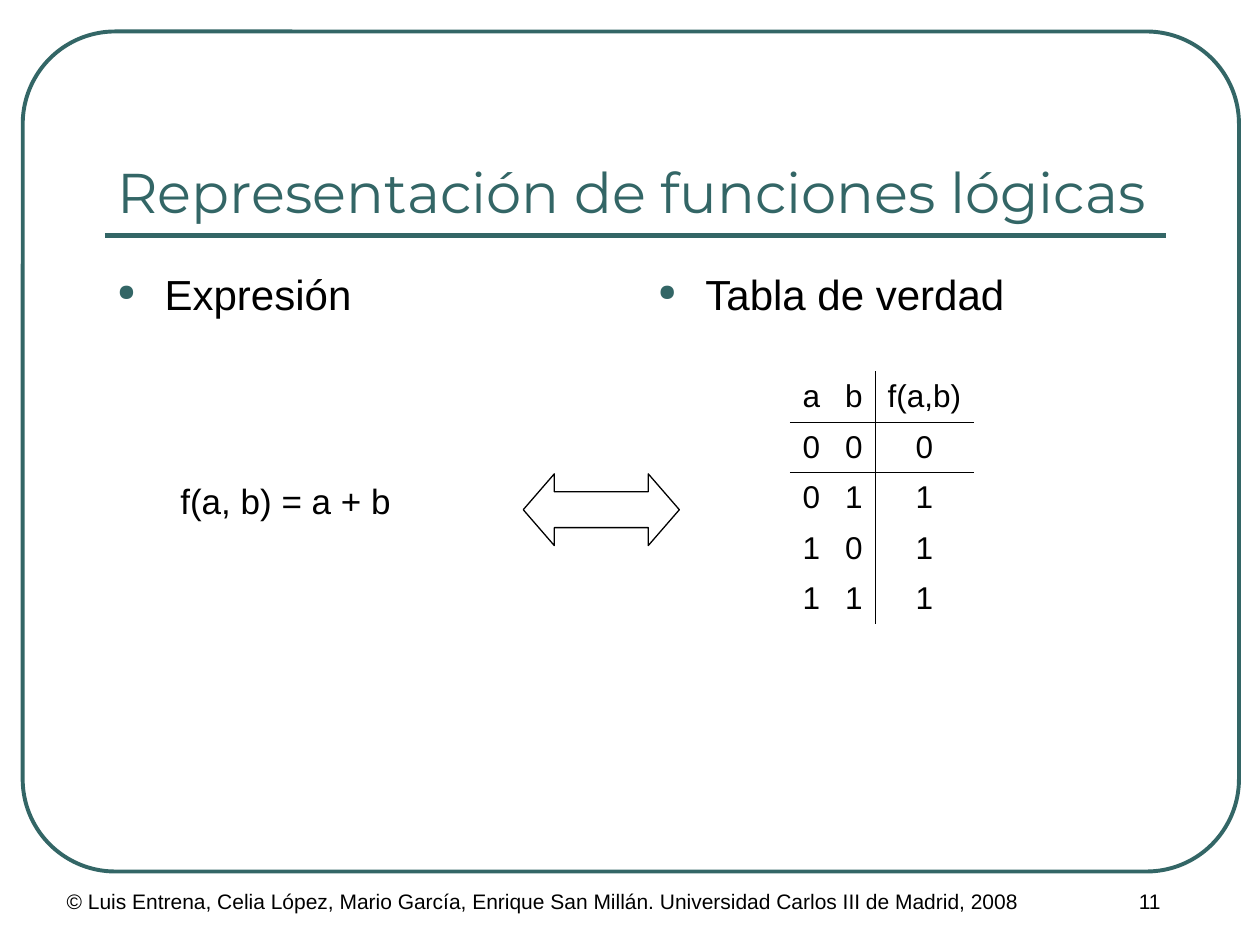
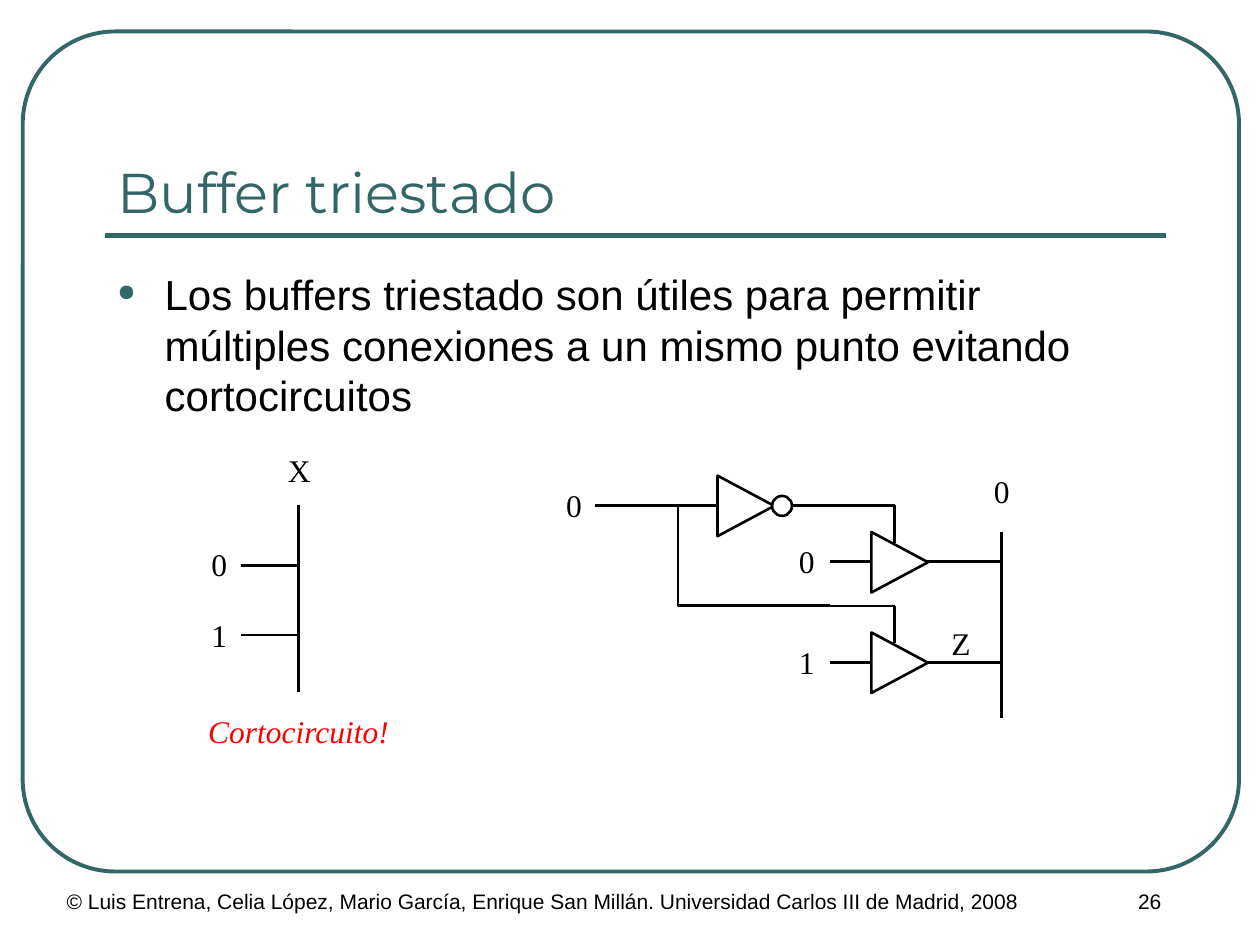
from lxml import etree
from pptx import Presentation
from pptx.dml.color import RGBColor
from pptx.enum.shapes import MSO_CONNECTOR, MSO_SHAPE
from pptx.enum.text import MSO_ANCHOR, PP_ALIGN
from pptx.oxml.ns import qn
from pptx.util import Pt

LEFT, CENTER = PP_ALIGN.LEFT, PP_ALIGN.CENTER
TOP, MIDDLE, BOTTOM = MSO_ANCHOR.TOP, MSO_ANCHOR.MIDDLE, MSO_ANCHOR.BOTTOM
STRAIGHT = MSO_CONNECTOR.STRAIGHT

TEAL, BLACK, WHITE, RED = "336666", "000000", "FFFFFF", "FF0000"
SANS, TITLE_FONT, SERIF = "Arial", "Montserrat", "Times New Roman"
WIRE = 1.5
PLAIN_TABLE = "{2D5ABB26-0587-4C30-8999-92F81FD0307C}"

CREDIT = ("© Luis Entrena, Celia López, Mario García, Enrique San Millán. "
          "Universidad Carlos III de Madrid, 2008")

FUNCTIONS = {
    "title": "Representación de funciones lógicas",
    "page": "11",
    "left": "Expresión",
    "formula": "f(a, b) = a + b",
    "right": "Tabla de verdad",
    "truth": [("a", "b", "f(a,b)"),
              ("0", "0", "0"),
              ("0", "1", "1"),
              ("1", "0", "1"),
              ("1", "1", "1")],
}

BUFFER = {
    "title": "Buffer triestado",
    "page": "26",
    "body": "Los buffers triestado son útiles para permitir múltiples conexiones "
            "a un mismo punto evitando cortocircuitos",
    "warning": "Cortocircuito!",
}

SIGNALS = [("X", 169.4, 268.6), ("0", 125.3, 322.4), ("1", 125.3, 362.9),
           ("0", 461, 320.4), ("1", 461, 378.2), ("0", 328, 288.7),
           ("Z", 548.6, 367.2), ("0", 572.4, 280.4)]

TRUTH_COLS, TRUTH_ROW = (24.4, 24.4, 56.2), 28.9
BODY_X, BODY_Y, BODY_W, BODY_H = 60, 150, 606, 348
COLUMN_W, COLUMN_X2 = 297, 369


def rgb(color):
    return RGBColor.from_string(color)


def set_font(p, size, font, color, italic=False):
    for r in p.runs:
        r.font.size = Pt(size)
        r.font.name = font
        r.font.italic = italic
        r.font.color.rgb = rgb(color)


def add_text(s, text, x, y, w, h, size, font=SANS, color=BLACK,
             align=LEFT, anchor=TOP, wrap=True, italic=False):
    tf = s.shapes.add_textbox(Pt(x), Pt(y), Pt(w), Pt(h)).text_frame
    tf.word_wrap = wrap
    tf.vertical_anchor = anchor
    tf.text = text
    p = tf.paragraphs[0]
    p.alignment = align
    set_font(p, size, font, color, italic)
    return tf


def indent(p, left, hanging):
    pPr = p._p.get_or_add_pPr()
    pPr.set("marL", str(Pt(left)))
    pPr.set("indent", str(Pt(-hanging)))
    return pPr


def add_bullet(s, text, x, w):
    tf = add_text(s, text, x, BODY_Y, w, BODY_H, 24)
    pPr = indent(tf.paragraphs[0], 27, 27)
    color = etree.SubElement(pPr, qn("a:buClr"))
    etree.SubElement(color, qn("a:srgbClr"), val=TEAL)
    etree.SubElement(pPr, qn("a:buSzPct"), val="55000")
    etree.SubElement(pPr, qn("a:buChar"), char="●")
    return tf


def style(sp, line, width, fill=None):
    sp.shadow.inherit = False
    if fill:
        sp.fill.solid()
        sp.fill.fore_color.rgb = rgb(fill)
    else:
        sp.fill.background()
    sp.line.color.rgb = rgb(line)
    sp.line.width = Pt(width)


def add_shape(s, kind, x, y, w, h, line, width, fill=None, adjust=()):
    sp = s.shapes.add_shape(kind, Pt(x), Pt(y), Pt(w), Pt(h))
    for i, value in enumerate(adjust):
        sp.adjustments[i] = value
    style(sp, line, width, fill)
    return sp


def add_line(s, x1, y1, x2, y2, color=BLACK, width=WIRE):
    line = s.shapes.add_connector(STRAIGHT, Pt(x1), Pt(y1), Pt(x2), Pt(y2))
    line.line.color.rgb = rgb(color)
    line.line.width = Pt(width)
    etree.SubElement(line._element.spPr, qn("a:effectLst"))


def new_slide(prs, content):
    s = prs.slides.add_slide(prs.slide_layouts[6])
    add_shape(s, MSO_SHAPE.ROUNDED_RECTANGLE, 13, 18, 695, 480, TEAL, 2.25, adjust=(0.11,))
    add_line(s, BODY_X, 134.6, BODY_X + BODY_W, 134.6, TEAL, 3)
    add_text(s, CREDIT, 31, 504, 612, 36, 12)
    add_text(s, content["page"], 594, 504, 126, 36, 12, align=CENTER)
    add_text(s, content["title"], BODY_X, 42, BODY_W, 90, 32, TITLE_FONT, TEAL, anchor=BOTTOM)
    return s


def set_borders(cell, sides):
    tcPr = cell._tc.get_or_add_tcPr()
    for i, side in enumerate(sides):
        ln = etree.Element(qn("a:ln" + side), w=str(Pt(0.45)))
        fill = etree.SubElement(ln, qn("a:solidFill"))
        etree.SubElement(fill, qn("a:srgbClr"), val=BLACK)
        tcPr.insert(i, ln)


def add_truth_table(s, rows, x, y):
    table = s.shapes.add_table(len(rows), len(TRUTH_COLS), Pt(x), Pt(y),
                               Pt(sum(TRUTH_COLS)), Pt(TRUTH_ROW * len(rows))).table
    table.first_row = table.horz_banding = False
    table._tbl.tblPr.find(qn("a:tableStyleId")).text = PLAIN_TABLE
    for col, width in zip(table.columns, TRUTH_COLS):
        col.width = Pt(width)
    for i, row in enumerate(rows):
        table.rows[i].height = Pt(TRUTH_ROW)
        for j, value in enumerate(row):
            cell = table.cell(i, j)
            cell.fill.background()
            cell.vertical_anchor = MIDDLE
            cell.margin_left = cell.margin_right = Pt(3)
            cell.text = value
            p = cell.text_frame.paragraphs[0]
            p.alignment = CENTER
            set_font(p, 18, SANS, BLACK)
            across = {1: "R", 2: "L"}.get(j, "")
            down = {0: "B", 1: "T"}.get(i, "")
            set_borders(cell, across + down)


def add_gate(s, cx, cy):
    w, h = 34.6, 32.4
    gate = add_shape(s, MSO_SHAPE.ISOSCELES_TRIANGLE, cx - w / 2, cy - h / 2, w, h,
                     BLACK, WIRE, WHITE)
    gate.rotation = 90


def draw_short_circuit(s):
    bus = 170.6
    add_line(s, bus, 288.7, bus, 395.3)
    for y in (323.3, 362.9):
        add_line(s, 137.5, y, bus, y)
    add_text(s, BUFFER["warning"], 111.6, 403.2, 118, 28.8, 18, SERIF, RED,
             CENTER, wrap=False, italic=True)


def draw_tristate(s):
    bus, start, enable, branch, top = 572.4, 474.5, 511.2, 387.4, 288.7
    low, drop = 378.4, 32.2
    add_line(s, bus, 303.8, bus, 410.4)
    for y in (321, low):
        add_line(s, start, y, 498.2, y)
        add_line(s, 530, y, bus, y)
        add_gate(s, 514.1, y + 0.3)
        add_line(s, enable, y - 10.8, enable, y - drop)
        add_line(s, enable, y - drop, start, y - drop)
    add_line(s, 339.8, top, 410.4, top)
    add_gate(s, 426.2, top + 0.4)
    add_shape(s, MSO_SHAPE.OVAL, 441.2, 283.4, 11.4, 11.4, BLACK, WIRE, WHITE)
    add_line(s, 452.4, top, start, top)
    path = s.shapes.build_freeform(Pt(branch), Pt(top))
    path.add_line_segments([(Pt(branch), Pt(low - drop)), (Pt(start), Pt(low - drop))],
                           close=False)
    style(path.convert_to_shape(), BLACK, WIRE)


def build_functions(prs):
    s = new_slide(prs, FUNCTIONS)
    tf = add_bullet(s, FUNCTIONS["left"], BODY_X, COLUMN_W)
    p = tf.add_paragraph()
    p.text = FUNCTIONS["formula"]
    indent(p, 58.5, 22.5)
    p.space_before = Pt(91.5)
    set_font(p, 20, SANS, BLACK)
    add_bullet(s, FUNCTIONS["right"], COLUMN_X2, COLUMN_W)
    add_truth_table(s, FUNCTIONS["truth"], 451.4, 212.2)
    add_shape(s, MSO_SHAPE.LEFT_RIGHT_ARROW, 299, 270.8, 89.2, 41, BLACK, 0.75,
              adjust=(0.5, 0.433))


def build_buffer(prs):
    s = new_slide(prs, BUFFER)
    add_bullet(s, BUFFER["body"], BODY_X, BODY_W)
    draw_short_circuit(s)
    draw_tristate(s)
    w, h = 24, 28.8
    for text, cx, cy in SIGNALS:
        add_text(s, text, cx - w / 2, cy - h / 2, w, h, 18, SERIF, align=CENTER, wrap=False)


def main():
    prs = Presentation()
    prs.slide_width, prs.slide_height = Pt(720), Pt(540)
    build_functions(prs)
    build_buffer(prs)
    prs.save("out.pptx")


if __name__ == "__main__":
    main()
